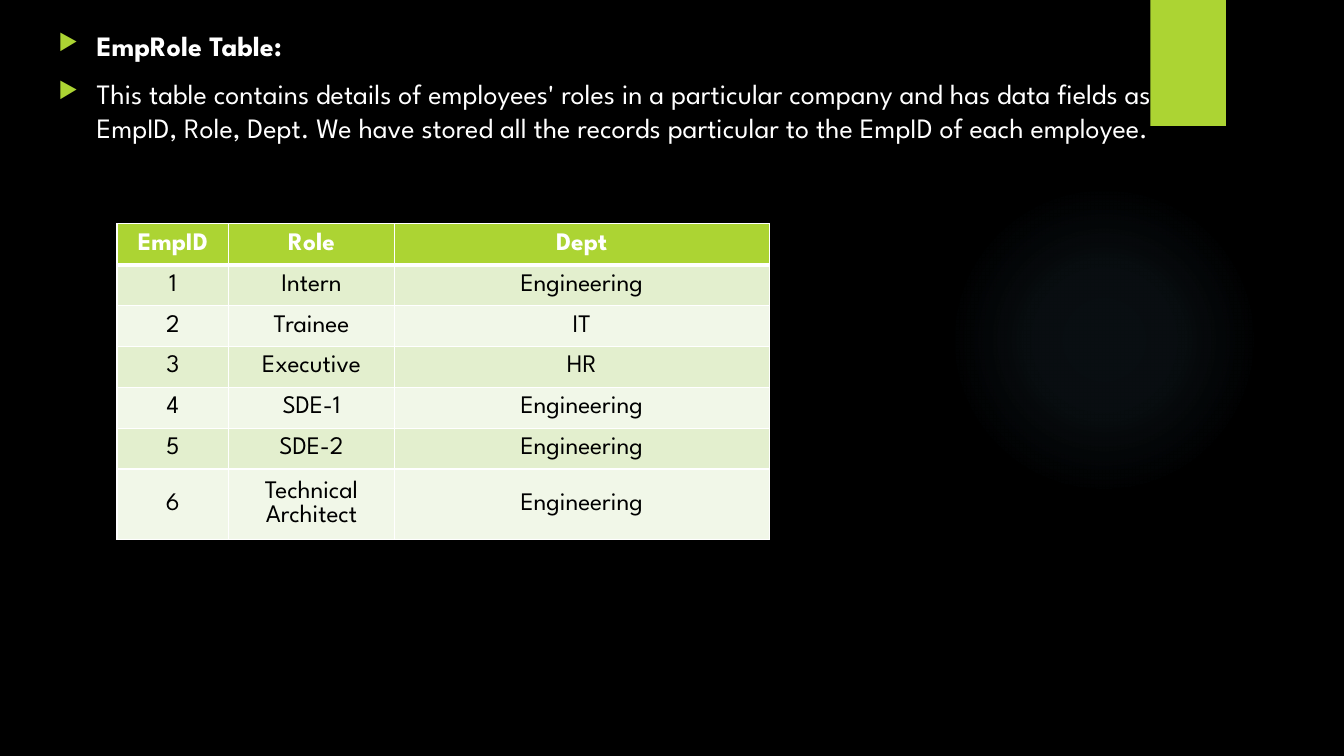
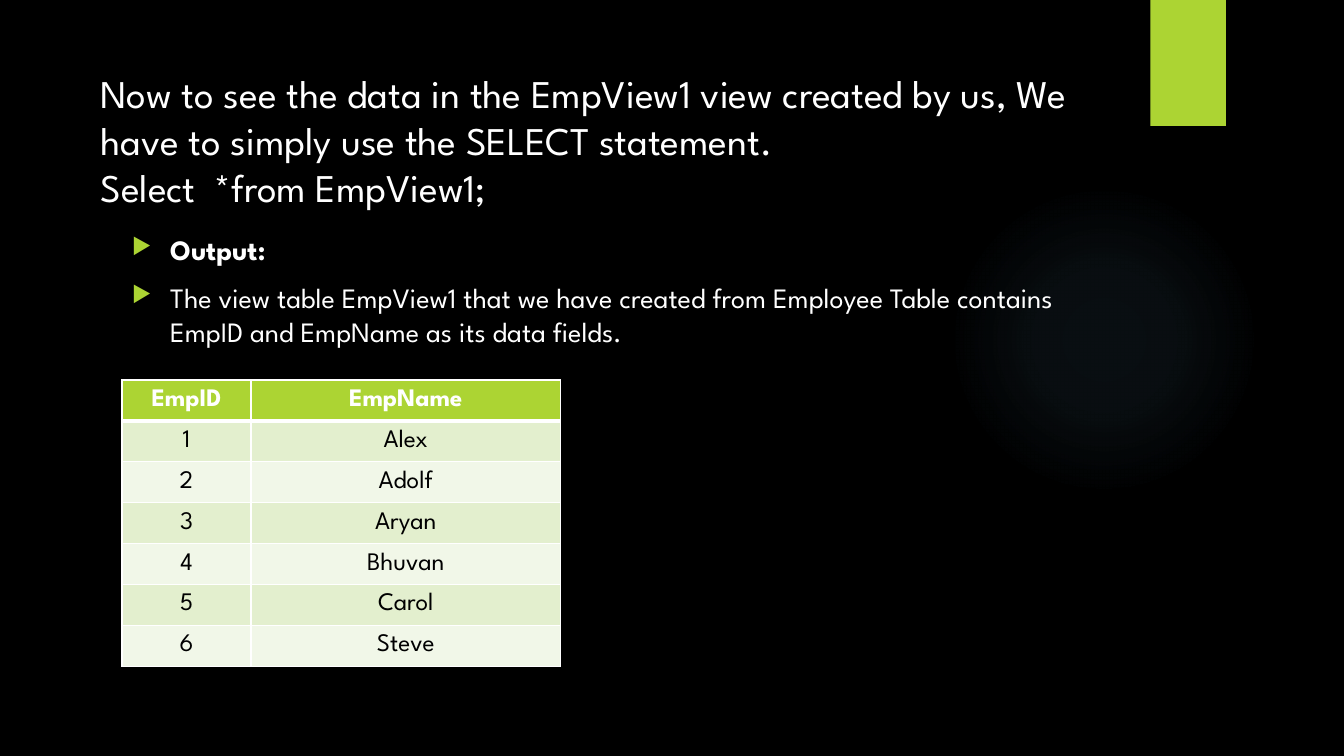
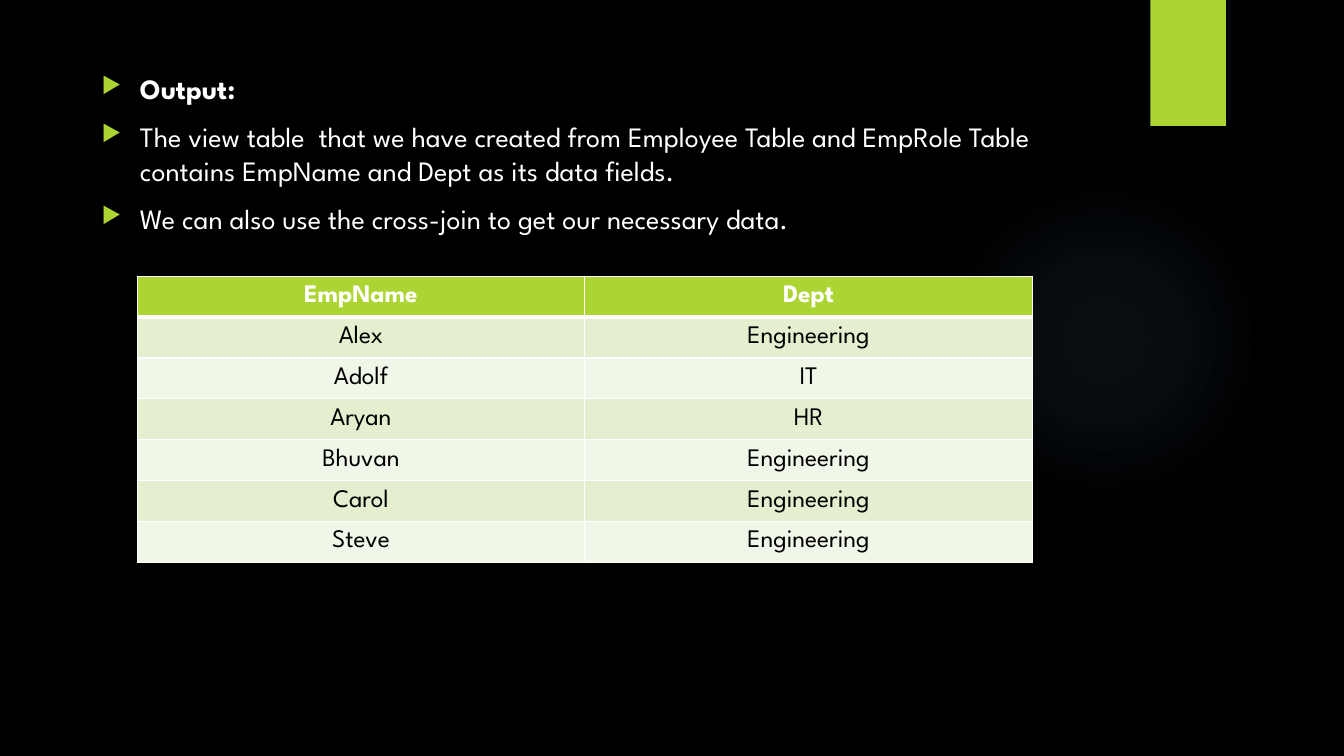
from lxml import etree
from pptx import Presentation
from pptx import util as u
from pptx.dml.color import RGBColor
from pptx.enum import shapes, text
from pptx.oxml import ns

PX = 9144
FONT = "League Spartan"
COLOURS = {
    "background": "000000",
    "accent": "ACD433",
    "glow": "7AC4F0",
    "light": "FFFFFF",
    "dark": "000000",
    "band_odd": "E3EFCE",
    "band_even": "F1F7E8",
}
GLOW_STOPS = ((0, 7), (36, 6), (69, 0))
BULLET_STYLE = {"size": 20, "line": 24.3, "before": 10}
STATEMENT_STYLE = {"size": 28, "line": 33.9, "before": 0}
INDENT = 38

EMP_ROLE = [
    ("EmpID", "Role", "Dept"),
    ("1", "Intern", "Engineering"),
    ("2", "Trainee", "IT"),
    ("3", "Executive", "HR"),
    ("4", "SDE-1", "Engineering"),
    ("5", "SDE-2", "Engineering"),
    ("6", "Technical Architect", "Engineering"),
]
NAMES = ("Alex", "Adolf", "Aryan", "Bhuvan", "Carol", "Steve")
EMP_VIEW = [("EmpID", "EmpName")] + [(str(i), name) for i, name in enumerate(NAMES, 1)]
NAME_DEPT = [("EmpName", "Dept")] + [
    (name, row[2]) for name, row in zip(NAMES, EMP_ROLE[1:])
]


def px(*lengths):
    """Turn px lengths into EMU."""
    return [u.Emu(round(length * PX)) for length in lengths]


def rgb(name):
    """Look up a named colour."""
    return RGBColor.from_string(COLOURS[name])


def add_xml(parent, tag, **attributes):
    """Append a DrawingML element with the given attributes."""
    values = {key: str(value) for key, value in attributes.items()}
    return etree.SubElement(parent, ns.qn("a:" + tag), values)


def add_colour(parent, name, alpha=None):
    """Append a colour element, with an opacity in percent if given."""
    colour = add_xml(parent, "srgbClr", val=COLOURS[name])
    if alpha is not None:
        add_xml(colour, "alpha", val=alpha * 1000)


def format_run(run, size, colour, bold=False):
    """Apply the shared font to a run."""
    formats = {"name": FONT, "size": u.Pt(size), "bold": bold}
    for attribute, value in formats.items():
        setattr(run.font, attribute, value)
    run.font.color.rgb = rgb(colour)


def add_plain_shape(slide, kind, box, colour):
    """Draw a preset shape without line or shadow."""
    shape = slide.shapes.add_shape(kind, *px(*box))
    shape.shadow.inherit = False
    shape.line.fill.background()
    shape.fill.solid()
    shape.fill.fore_color.rgb = rgb(colour)
    return shape


def add_glow(slide, box):
    """Draw the faint round glow that fades to its edge."""
    shape = add_plain_shape(slide, shapes.MSO_SHAPE.OVAL, box, "glow")
    solid = shape._element.spPr.find(ns.qn("a:solidFill"))
    gradient = etree.Element(ns.qn("a:gradFill"), rotWithShape="1")
    stops = add_xml(gradient, "gsLst")
    for position, alpha in GLOW_STOPS:
        add_colour(add_xml(stops, "gs", pos=position * 1000), "glow", alpha)
    circle = add_xml(gradient, "path", path="circle")
    add_xml(circle, "fillToRect", l=50000, t=50000, r=50000, b=50000)
    solid.getparent().replace(solid, gradient)


def add_base_slide(presentation):
    """Add a blank slide with the shared glow and accent tab."""
    slide = presentation.slides.add_slide(presentation.slide_layouts[6])
    add_glow(slide, (941, 183, 308, 308))
    add_plain_shape(slide, shapes.MSO_SHAPE.RECTANGLE, (1141, 0, 75, 125), "accent")
    return slide


def add_bullet(paragraph):
    """Give a paragraph the accent triangle and a hanging indent."""
    properties = paragraph._p.get_or_add_pPr()
    indent, = px(INDENT)
    properties.set("marL", str(indent))
    properties.set("indent", str(-indent))
    add_colour(add_xml(properties, "buClr"), "accent")
    add_xml(properties, "buSzPct", val=80000)
    add_xml(properties, "buChar", char="▶")


def add_paragraphs(slide, box, lines, style, bulleted=False):
    """Place lines of text in a box; a bulleted list opens with a bold line."""
    frame = slide.shapes.add_textbox(*px(*box)).text_frame
    frame.word_wrap = True
    for index, line in enumerate(lines):
        paragraph = frame.add_paragraph() if index else frame.paragraphs[0]
        if bulleted:
            add_bullet(paragraph)
        formats = {
            "line_spacing": u.Pt(style["line"]),
            "space_before": u.Pt(style["before"] if index else 0),
        }
        for attribute, value in formats.items():
            setattr(paragraph, attribute, value)
        run = paragraph.add_run()
        run.text = line
        format_run(run, style["size"], "light", bold=bulleted and index == 0)


def add_borders(cell, row):
    """Rule a cell in white, with a thick line under the header."""
    widths = {"lnL": 1, "lnR": 1, "lnT": 3 if row == 1 else 1, "lnB": 3 if row == 0 else 1}
    properties = cell._tc.get_or_add_tcPr()
    for tag, width in widths.items():
        line = add_xml(properties, tag, w=u.Pt(width))
        add_colour(add_xml(line, "solidFill"), "light")


def fill_cell(cell, row, value):
    """Write and format one table cell."""
    header = row == 0
    add_borders(cell, row)
    cell.fill.solid()
    cell.fill.fore_color.rgb = rgb(
        "accent" if header else "band_odd" if row % 2 else "band_even"
    )
    cell.vertical_anchor = text.MSO_ANCHOR.MIDDLE
    paragraph = cell.text_frame.paragraphs[0]
    paragraph.alignment = text.PP_ALIGN.CENTER
    run = paragraph.add_run()
    run.text = value
    format_run(run, 18, "light" if header else "dark", bold=header)


def add_data_table(slide, left, top, widths, rows, height=284):
    """Place a table with a header row and banded rows of equal height."""
    box = px(left, top, sum(widths), height)
    table = slide.shapes.add_table(len(rows), len(widths), *box).table
    for column, width in zip(table.columns, px(*widths)):
        column.width = width
    for row, values in enumerate(rows):
        table.rows[row].height, = px(height / len(rows))
        for column, value in enumerate(values):
            fill_cell(table.cell(row, column), row, value)


def build_emp_role(presentation):
    """Build the slide on the EmpRole table."""
    slide = add_base_slide(presentation)
    add_paragraphs(slide, (48, 23, 1139, 459), (
        "EmpRole Table:",
        "This table contains details of employees' roles in a particular company "
        "and has data fields as EmpID, Role, Dept. We have stored all the records "
        "particular to the EmpID of each employee.",
    ), BULLET_STYLE, bulleted=True)
    add_data_table(slide, 116, 222, (111, 164, 372), EMP_ROLE)


def build_emp_view(presentation):
    """Build the slide on selecting from the view."""
    slide = add_base_slide(presentation)
    add_paragraphs(slide, (121, 225, 978, 459), (
        "Output:",
        "The view table EmpView1 that we have created from Employee Table contains "
        "EmpID and EmpName as its data fields.",
    ), BULLET_STYLE, bulleted=True)
    add_data_table(slide, 121, 377, (128, 307), EMP_VIEW)
    add_paragraphs(slide, (90, 63, 1009, 151), (
        "Now to see the data in the EmpView1 view created by us, We have to simply "
        "use the SELECT statement.",
        "Select  *from EmpView1;",
    ), STATEMENT_STYLE)


def build_joined_view(presentation):
    """Build the slide on the view made from two tables."""
    slide = add_base_slide(presentation)
    add_paragraphs(slide, (91, 66, 978, 459), (
        "Output:",
        "The view table  that we have created from Employee Table and EmpRole Table "
        "contains EmpName and Dept as its data fields.",
        "We can also use the cross-join to get our necessary data.",
    ), BULLET_STYLE, bulleted=True)
    add_data_table(slide, 136, 274, (444, 444), NAME_DEPT)


def main():
    """Build and save the presentation."""
    presentation = Presentation()
    presentation.slide_width, presentation.slide_height = px(1333, 750)
    background = presentation.slide_master.background.fill
    background.solid()
    background.fore_color.rgb = rgb("background")
    for build in (build_emp_role, build_emp_view, build_joined_view):
        build(presentation)
    presentation.save("out.pptx")


if __name__ == "__main__":
    main()
